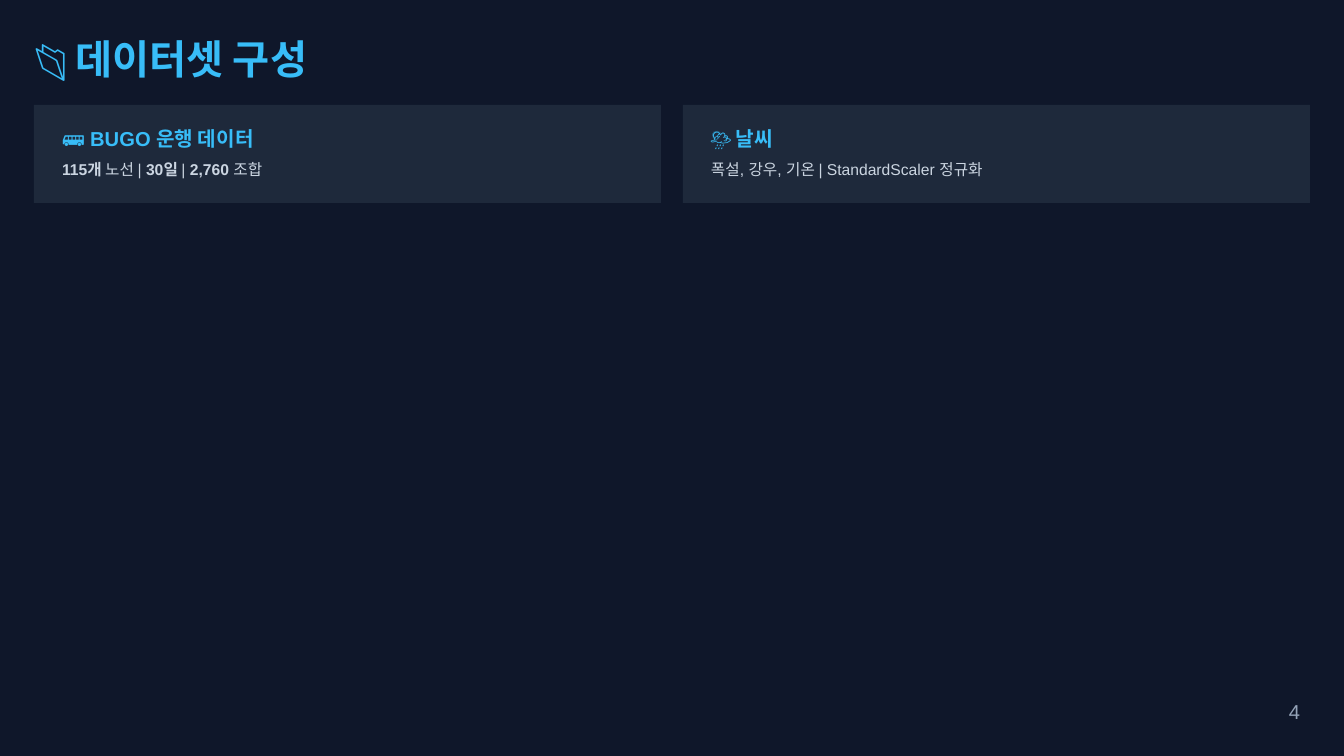
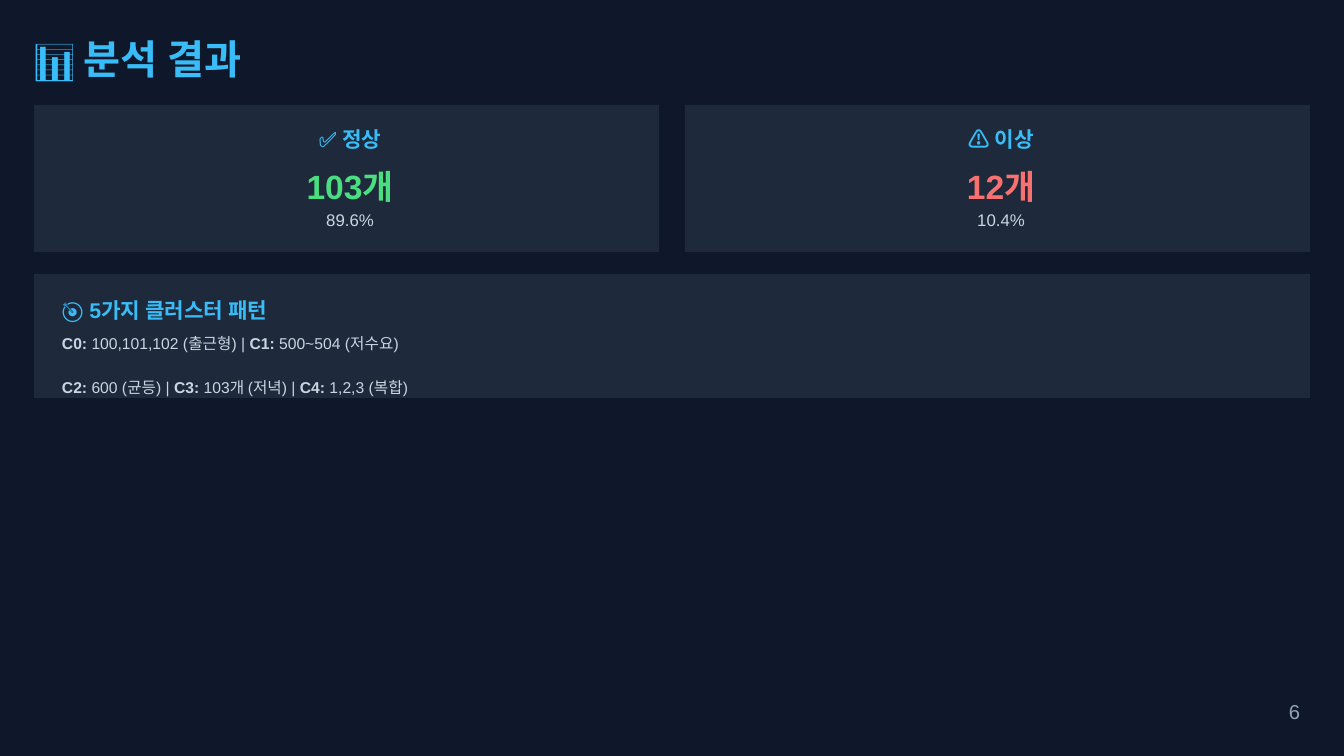
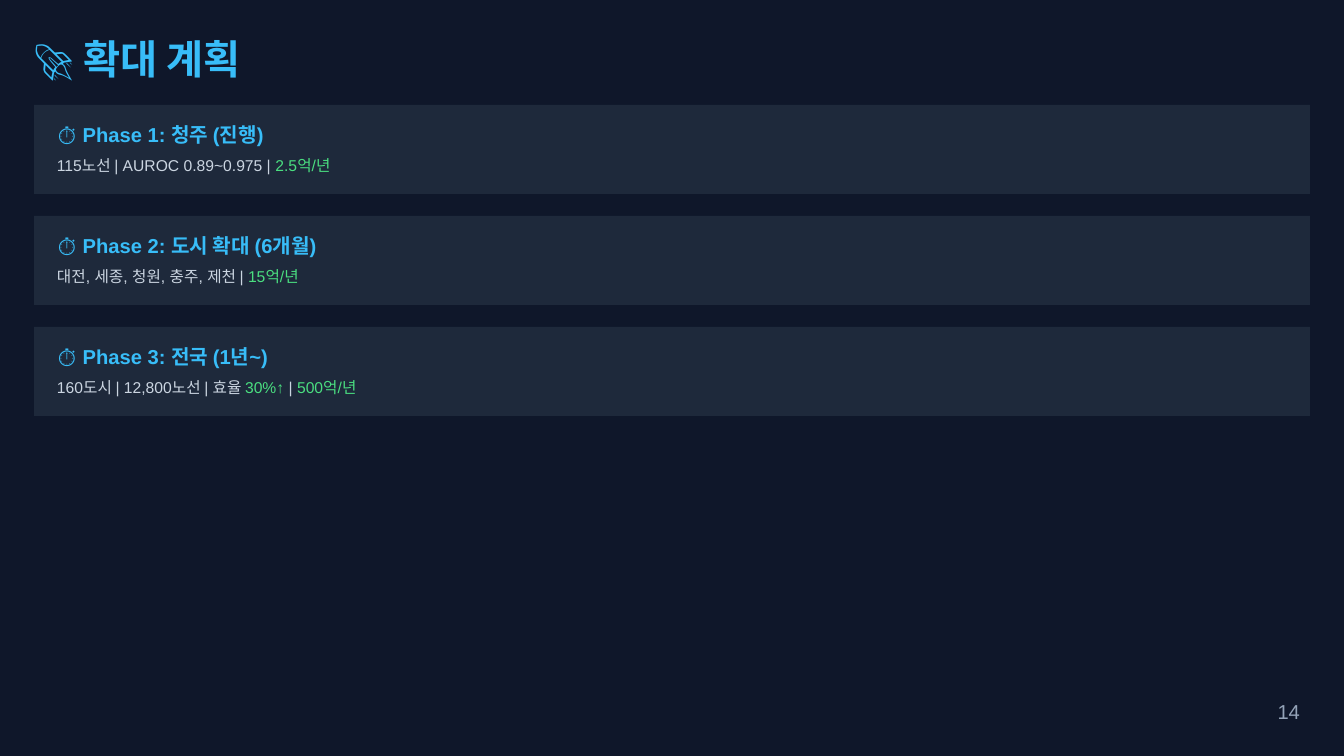
from pptx import Presentation
from pptx.dml.color import RGBColor
from pptx.enum.shapes import MSO_SHAPE
from pptx.enum.text import MSO_ANCHOR, MSO_AUTO_SIZE, PP_ALIGN
from pptx.util import Pt

LEFT, CENTER, RIGHT = PP_ALIGN.LEFT, PP_ALIGN.CENTER, PP_ALIGN.RIGHT
RECTANGLE = MSO_SHAPE.RECTANGLE
TOP = MSO_ANCHOR.TOP
NO_FIT = MSO_AUTO_SIZE.NONE

PX = 914400 / 134.4
SLIDE_WIDTH, SLIDE_HEIGHT = 1344, 756
MARGIN, CARDS_TOP, CARDS_WIDTH, ROW_GAP = 34, 105, 1276, 22
TITLE_BOX = (MARGIN, 34, 1302, 48)
NUMBER_RIGHT, NUMBER_TOP, NUMBER_HEIGHT, DIGIT_WIDTH = 1300, 695, 28, 12

FONT = "Arial"
BACKGROUND, CARD, MUTED = "0F172A", "1E293B", "94A3B8"
ACCENT, BODY, GREEN, RED = "38BDF8", "CBD5E1", "4ADE80", "F87171"

# style: size, line spacing, colour, bold, alignment
STYLES = {
    "title": (21.6, 25.9, ACCENT, True, LEFT),
    "heading": (10.8, 13, ACCENT, True, LEFT),
    "large heading": (11.4, 13.7, ACCENT, True, LEFT),
    "centred heading": (11.4, 13.7, ACCENT, True, CENTER),
    "value": (18, 25.2, BODY, True, CENTER),
    "share": (9, 12.6, BODY, False, CENTER),
    "body": (8.4, 11.8, BODY, False, LEFT),
    "number": (10.8, 15.1, MUTED, False, RIGHT),
}

# A text is a list of paragraphs; a paragraph is a list of spans,
# each a string or a pair of string and mark ("bold" or a colour).
# Row lines: style, distance from the card's top, height.
SLIDES = [
    {
        "title": "📂 데이터셋 구성",
        "number": "4",
        "rows": [{
            "height": 98, "gap": 22, "inset": 28, "text_width": 589,
            "lines": [("heading", 21, 24), ("body", 52, 22)],
            "cards": [
                [[["🚌 BUGO 운행 데이터"]],
                 [[("115개", "bold"), " 노선 | ", ("30일", "bold"), " | ",
                   ("2,760", "bold"), " 조합"]]],
                [[["🌦️ 날씨"]],
                 [["폭설, 강우, 기온 | StandardScaler 정규화"]]],
            ],
        }],
    },
    {
        "title": "📊 분석 결과",
        "number": "6",
        "rows": [
            {
                "height": 147, "gap": 26, "inset": 23, "text_width": 586,
                "lines": [("centred heading", 21, 26), ("value", 54, 47),
                          ("share", 101, 23)],
                "cards": [
                    [[["✅ 정상"]], [[("103개", GREEN)]], [["89.6%"]]],
                    [[["⚠️ 이상"]], [[("12개", RED)]], [["10.4%"]]],
                ],
            },
            {
                "height": 124, "gap": 0, "inset": 28, "text_width": 1251,
                "lines": [("large heading", 23, 26), ("body", 57, 44)],
                "cards": [
                    [[["🎯 5가지 클러스터 패턴"]],
                     [[("C0:", "bold"), " 100,101,102 (출근형) | ",
                       ("C1:", "bold"), " 500~504 (저수요)"],
                      [("C2:", "bold"), " 600 (균등) | ",
                       ("C3:", "bold"), " 103개 (저녁) | ",
                       ("C4:", "bold"), " 1,2,3 (복합)"]]],
                ],
            },
        ],
    },
    {
        "title": "🚀 확대 계획",
        "number": "14",
        "rows": [
            {
                "height": 89, "gap": 0, "inset": 23, "text_width": 1261,
                "lines": [("heading", 17, 24), ("body", 48, 22)],
                "cards": [[[[heading]], [spans]]],
            }
            for heading, spans in [
                ("⏱️ Phase 1: 청주 (진행)",
                 ["115노선 | AUROC 0.89~0.975 | ", ("2.5억/년", GREEN)]),
                ("⏱️ Phase 2: 도시 확대 (6개월)",
                 ["대전, 세종, 청원, 충주, 제천 | ", ("15억/년", GREEN)]),
                ("⏱️ Phase 3: 전국 (1년~)",
                 ["160도시 | 12,800노선 | 효율 ", ("30%↑", GREEN), " | ",
                  ("500억/년", GREEN)]),
            ]
        ],
    },
]


def emu(*lengths):
    return [round(length * PX) for length in lengths]


def set_fill(fill, colour):
    fill.solid()
    fill.fore_color.rgb = RGBColor.from_string(colour)


def write(shape, paragraphs, style, wrap=True):
    size, line, colour, bold, alignment = STYLES[style]
    frame = shape.text_frame
    frame.margin_left = frame.margin_right = 0
    frame.margin_top = frame.margin_bottom = 0
    frame.word_wrap = wrap
    frame.auto_size = NO_FIT
    frame.vertical_anchor = TOP
    for index, spans in enumerate(paragraphs):
        para = frame.add_paragraph() if index else frame.paragraphs[0]
        para.alignment = alignment
        para.line_spacing = Pt(line)
        para.space_before = Pt(line if index else 0)
        for span in spans:
            text, mark = (span, None) if isinstance(span, str) else span
            run = para.add_run()
            run.text = text
            run.font.name = FONT
            run.font.size = Pt(size)
            run.font.bold = bold or mark == "bold"
            run_colour = colour if mark in (None, "bold") else mark
            run.font.color.rgb = RGBColor.from_string(run_colour)


def add_row(page, row, top):
    """Draw a row of equally wide cards with their texts."""
    count = len(row["cards"])
    width = (CARDS_WIDTH - row["gap"] * (count - 1)) // count
    for column, texts in enumerate(row["cards"]):
        left = MARGIN + column * (width + row["gap"])
        card = page.shapes.add_shape(
            RECTANGLE, *emu(left, top, width, row["height"]))
        card.shadow.inherit = False
        set_fill(card.fill, CARD)
        card.line.fill.background()
        for (style, offset, height), paragraphs in zip(row["lines"], texts):
            box = page.shapes.add_textbox(*emu(
                left + row["inset"], top + offset, row["text_width"], height))
            write(box, paragraphs, style)


def add_page(deck, layout, content):
    page = deck.slides.add_slide(layout)
    write(page.shapes.title, [[content["title"]]], "title")
    top = CARDS_TOP
    for row in content["rows"]:
        add_row(page, row, top)
        top += row["height"] + ROW_GAP
    number_width = DIGIT_WIDTH * len(content["number"])
    number = page.shapes.add_textbox(*emu(
        NUMBER_RIGHT - number_width, NUMBER_TOP, number_width, NUMBER_HEIGHT))
    write(number, [[content["number"]]], "number", wrap=False)


def main():
    deck = Presentation()
    deck.slide_width, deck.slide_height = emu(SLIDE_WIDTH, SLIDE_HEIGHT)
    set_fill(deck.slide_master.background.fill, BACKGROUND)
    layout = deck.slide_layouts.get_by_name("Title Only")
    title = layout.placeholders[0]
    title.left, title.top, title.width, title.height = emu(*TITLE_BOX)
    for content in SLIDES:
        add_page(deck, layout, content)
    deck.save("out.pptx")


if __name__ == "__main__":
    main()
